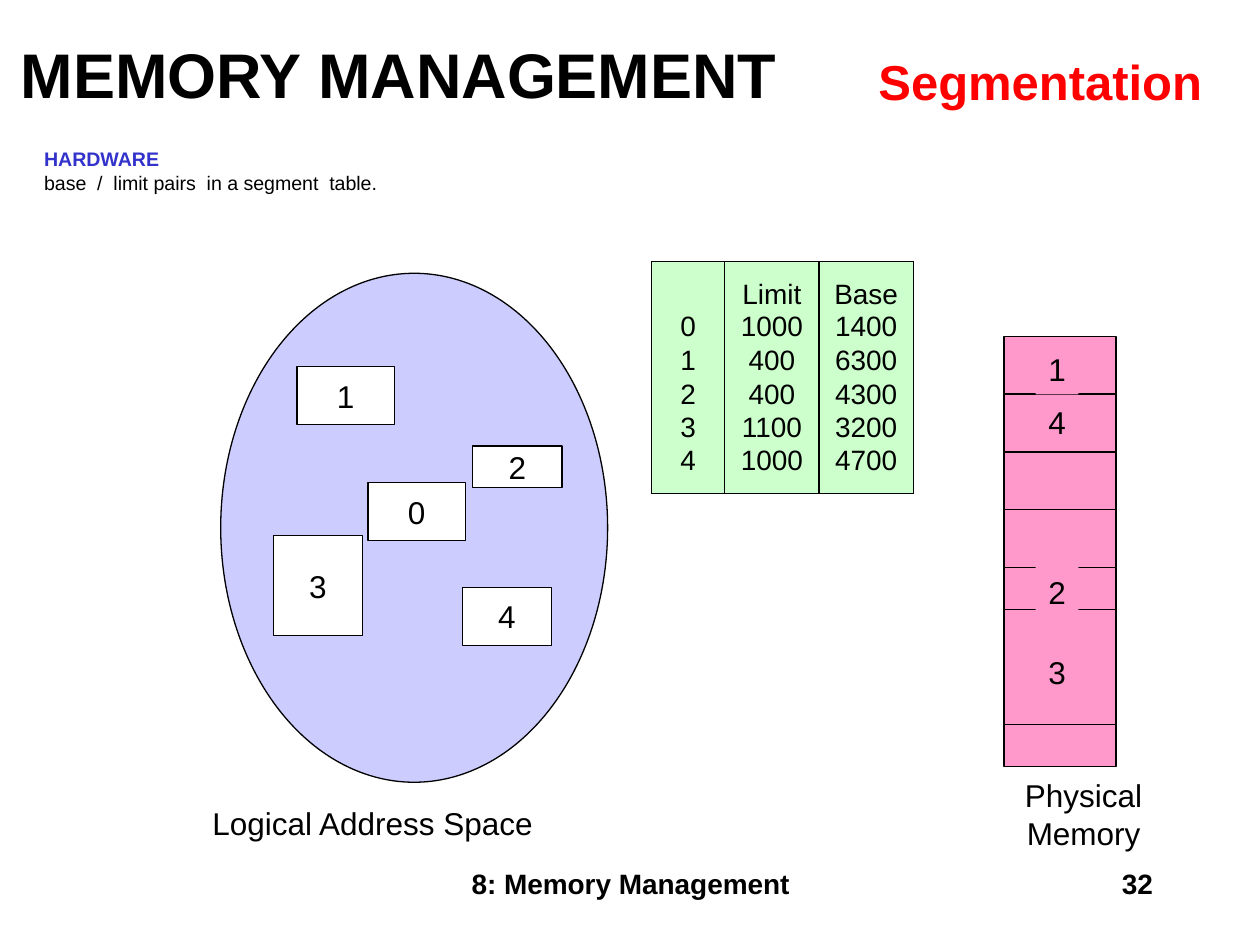
from lxml.etree import SubElement
from pptx import Presentation
from pptx.dml.color import RGBColor
from pptx.enum.shapes import MSO_CONNECTOR, MSO_SHAPE
from pptx.enum.text import MSO_ANCHOR, PP_ALIGN
from pptx.oxml.ns import qn
from pptx.util import Cm, Pt

BLACK = RGBColor(0x00, 0x00, 0x00)
WHITE = RGBColor(0xFF, 0xFF, 0xFF)
RED = RGBColor(0xFF, 0x00, 0x00)
BLUE = RGBColor(0x33, 0x33, 0xCC)
LAVENDER = RGBColor(0xCC, 0xCC, 0xFF)
PINK = RGBColor(0xFF, 0x99, 0xCC)
GREEN = RGBColor(0xCC, 0xFF, 0xCC)
FONT = "Arial"
LINE_WIDTH = Pt(0.75)

NOTES = [("HARDWARE", BLUE, True),
         ("base  /  limit pairs  in a segment  table.", BLACK, False)]
NOTES_AREA = (0.64, 2.97, 23.93, 1.9)

TEXTS = [
    ("MEMORY MANAGEMENT", (0, 0.43, 16.08, 2.11), 36, BLACK, True,
     PP_ALIGN.CENTER, MSO_ANCHOR.MIDDLE, True),
    ("Segmentation", (17.45, 0.91, 7.04, 1.45), 28, RED, True,
     PP_ALIGN.CENTER, MSO_ANCHOR.TOP, False),
    ("Logical Address Space", (4.01, 16.08, 7.0, 1.02), 18, BLACK, False,
     PP_ALIGN.CENTER, MSO_ANCHOR.MIDDLE, False),
    ("Physical Memory", (19.18, 15.9, 5.33, 1.02), 18, BLACK, False,
     PP_ALIGN.CENTER, MSO_ANCHOR.MIDDLE, False),
    ("8: Memory Management", (8.69, 17.35, 8.05, 1.27), 16, BLACK, True,
     PP_ALIGN.CENTER, MSO_ANCHOR.TOP, True),
    ("32", (18.21, 17.35, 5.28, 1.27), 16, BLACK, True,
     PP_ALIGN.RIGHT, MSO_ANCHOR.TOP, True),
]

LOGICAL_SPACE = (4.45, 5.51, 7.8, 10.26)
SEGMENTS = [
    ("1", (5.99, 7.39, 1.96, 1.17)),
    ("3", (5.51, 10.8, 1.8, 2.01)),
    ("2", (9.53, 8.99, 1.8, 0.84)),
    ("4", (9.32, 11.84, 1.8, 1.17)),
    ("0", (7.42, 9.73, 1.96, 1.17)),
]

MEMORY_LEFT, MEMORY_TOP, MEMORY_WIDTH = 20.24, 6.78, 2.26
MEMORY_BLOCKS = [(2.33, "middle"), (2.33, "middle"), (3.16, 0.85), (0.85, None)]
MEMORY_LABELS = [("1", 6.93), ("4", 8.0), ("2", 11.43), ("3", 13.03)]
LABEL_LEFT, LABEL_WIDTH, LABEL_HEIGHT = 20.88, 0.86, 1.02

SEGMENT_TABLE = [
    ("", "Limit", "Base"),
    ("0", "1000", "1400"),
    ("1", "400", "6300"),
    ("2", "400", "4300"),
    ("3", "1100", "3200"),
    ("4", "1000", "4700"),
]
TABLE_LEFT, TABLE_TOP, TABLE_HEIGHT = 13.13, 5.28, 4.66
COLUMN_WIDTHS = (1.48, 1.9, 1.9)
ROW_HEIGHT = 0.68


def add_span(para, text, size, color=BLACK, bold=False):
    span = para.add_run()
    span.text = text
    span.font.name = FONT
    span.font.size = Pt(size)
    span.font.bold = bold
    span.font.color.rgb = color


def add_text(page, text, area, size, color, bold, align, anchor, wrap):
    box = page.shapes.add_textbox(*map(Cm, area))
    frame = box.text_frame
    frame.word_wrap = wrap
    frame.vertical_anchor = anchor
    para = frame.paragraphs[0]
    para.alignment = align
    add_span(para, text, size, color, bold)


def add_figure(page, kind, area, fill, text="", outlined=True):
    figure = page.shapes.add_shape(kind, *map(Cm, area))
    figure.shadow.inherit = False
    figure.fill.solid()
    figure.fill.fore_color.rgb = fill
    if outlined:
        figure.line.color.rgb = BLACK
        figure.line.width = LINE_WIDTH
    else:
        figure.line.fill.background()
    if text:
        frame = figure.text_frame
        frame.word_wrap = False
        frame.vertical_anchor = MSO_ANCHOR.MIDDLE
        frame.paragraphs[0].alignment = PP_ALIGN.CENTER
        add_span(frame.paragraphs[0], text, 18)
    return figure


def add_divider(page, block, top, offset):
    joined = offset == "middle"
    level = Cm(top) + (block.height // 2 if joined else Cm(offset))
    divider = page.shapes.add_connector(
        MSO_CONNECTOR.STRAIGHT, block.left, level, block.left + block.width, level)
    if joined:
        divider.begin_connect(block, 1)
        divider.end_connect(block, 3)
    divider.line.color.rgb = BLACK
    divider.line.width = LINE_WIDTH
    SubElement(divider._element.spPr, qn("a:effectLst"))


def add_memory(page):
    top = MEMORY_TOP
    for height, offset in MEMORY_BLOCKS:
        block = add_figure(page, MSO_SHAPE.RECTANGLE,
                           (MEMORY_LEFT, top, MEMORY_WIDTH, height), PINK)
        if offset:
            add_divider(page, block, top, offset)
        top += height
    for text, label_top in MEMORY_LABELS:
        add_figure(page, MSO_SHAPE.RECTANGLE,
                   (LABEL_LEFT, label_top, LABEL_WIDTH, LABEL_HEIGHT), PINK, text, False)


def set_borders(cell, visible):
    properties = cell._tc.get_or_add_tcPr()
    for side in ("L", "R", "T", "B"):
        border = SubElement(properties, qn(f"a:ln{side}"), w=str(LINE_WIDTH))
        if side in visible:
            SubElement(SubElement(border, qn("a:solidFill")), qn("a:srgbClr"), val=str(BLACK))
        else:
            SubElement(border, qn("a:noFill"))


def add_segment_table(page):
    last = len(SEGMENT_TABLE) - 1
    outer_height = (TABLE_HEIGHT - (last - 1) * ROW_HEIGHT) / 2
    table = page.shapes.add_table(
        last + 1, len(COLUMN_WIDTHS), Cm(TABLE_LEFT), Cm(TABLE_TOP),
        Cm(sum(COLUMN_WIDTHS)), Cm(TABLE_HEIGHT)).table
    table.first_row = table.horz_banding = False
    for column, width in zip(table.columns, COLUMN_WIDTHS):
        column.width = Cm(width)
    for number, values in enumerate(SEGMENT_TABLE):
        table.rows[number].height = Cm(outer_height if number in (0, last) else ROW_HEIGHT)
        visible = "LR" + {0: "T", last: "B"}.get(number, "")
        anchor = {0: MSO_ANCHOR.BOTTOM, last: MSO_ANCHOR.TOP}.get(number, MSO_ANCHOR.MIDDLE)
        for cell, value in zip(table.rows[number].cells, values):
            cell.margin_left = cell.margin_right = 0
            cell.margin_top = cell.margin_bottom = 0
            cell.vertical_anchor = anchor
            set_borders(cell, visible)
            cell.fill.solid()
            cell.fill.fore_color.rgb = GREEN
            para = cell.text_frame.paragraphs[0]
            para.alignment = PP_ALIGN.CENTER
            if value:
                add_span(para, value, 16)


def add_notes(page):
    frame = page.shapes.add_textbox(*map(Cm, NOTES_AREA)).text_frame
    frame.word_wrap = True
    for number, (text, color, bold) in enumerate(NOTES):
        para = frame.add_paragraph() if number else frame.paragraphs[0]
        para.alignment = PP_ALIGN.JUSTIFY
        para.line_spacing = 0.7
        if number:
            para.space_before = Pt(4)
        add_span(para, text, 11.2, color, bold)


def main():
    deck = Presentation()
    deck.slide_width, deck.slide_height = Cm(25.4), Cm(19.05)
    page = deck.slides.add_slide(deck.slide_layouts[6])
    add_notes(page)
    add_figure(page, MSO_SHAPE.OVAL, LOGICAL_SPACE, LAVENDER)
    for text, area in SEGMENTS:
        add_figure(page, MSO_SHAPE.RECTANGLE, area, WHITE, text)
    add_memory(page)
    add_segment_table(page)
    for entry in TEXTS:
        add_text(page, *entry)
    deck.save("out.pptx")


if __name__ == "__main__":
    main()
